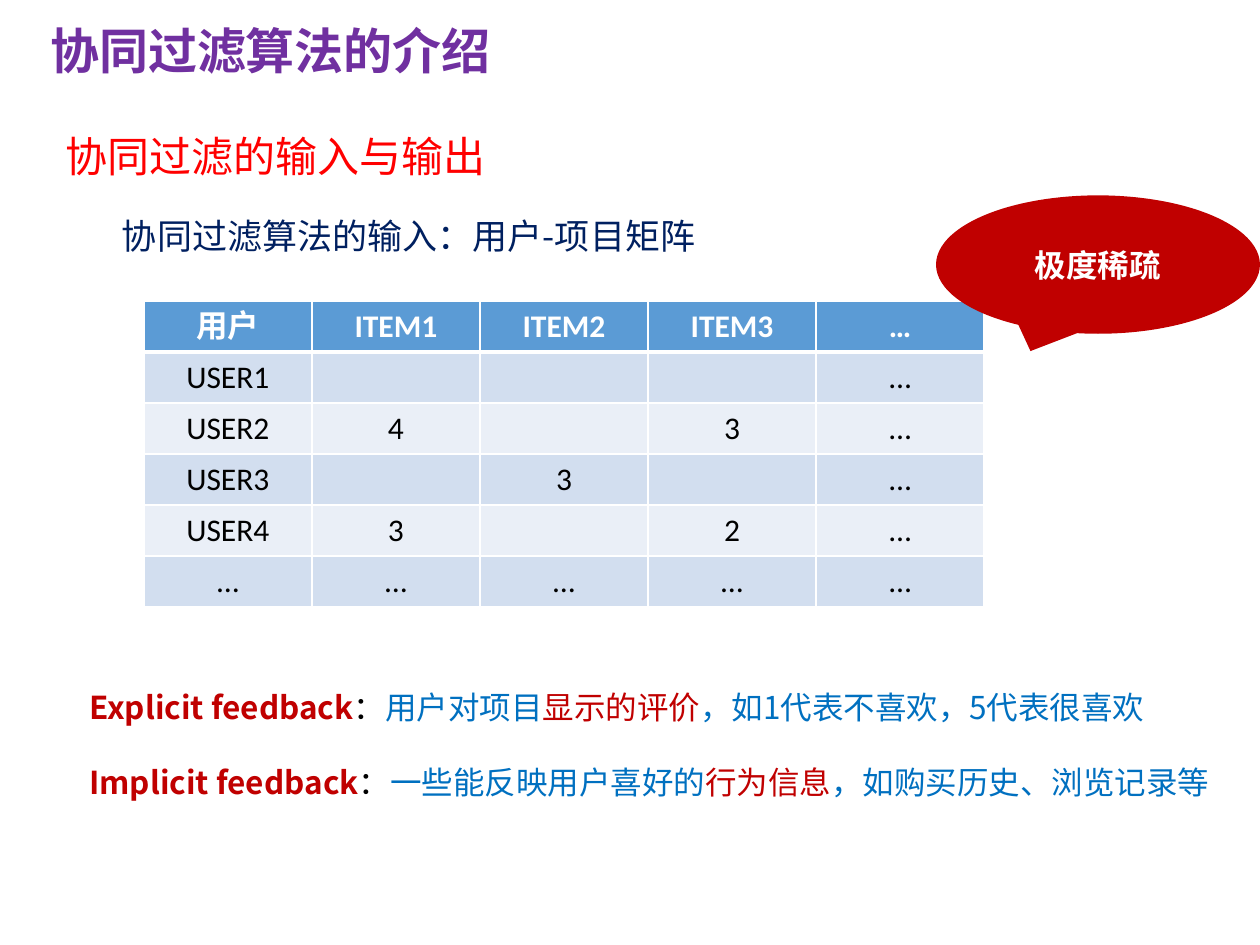
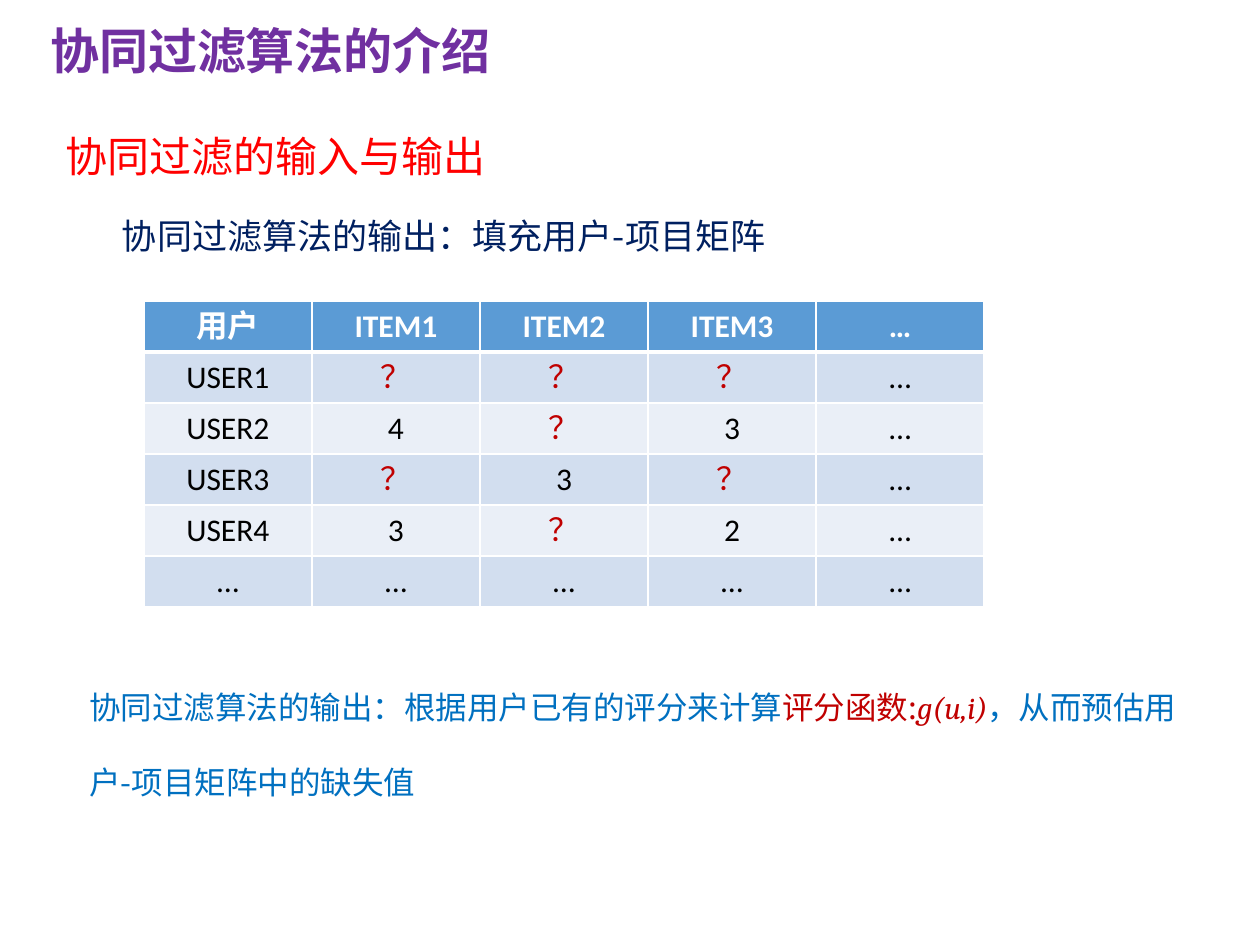
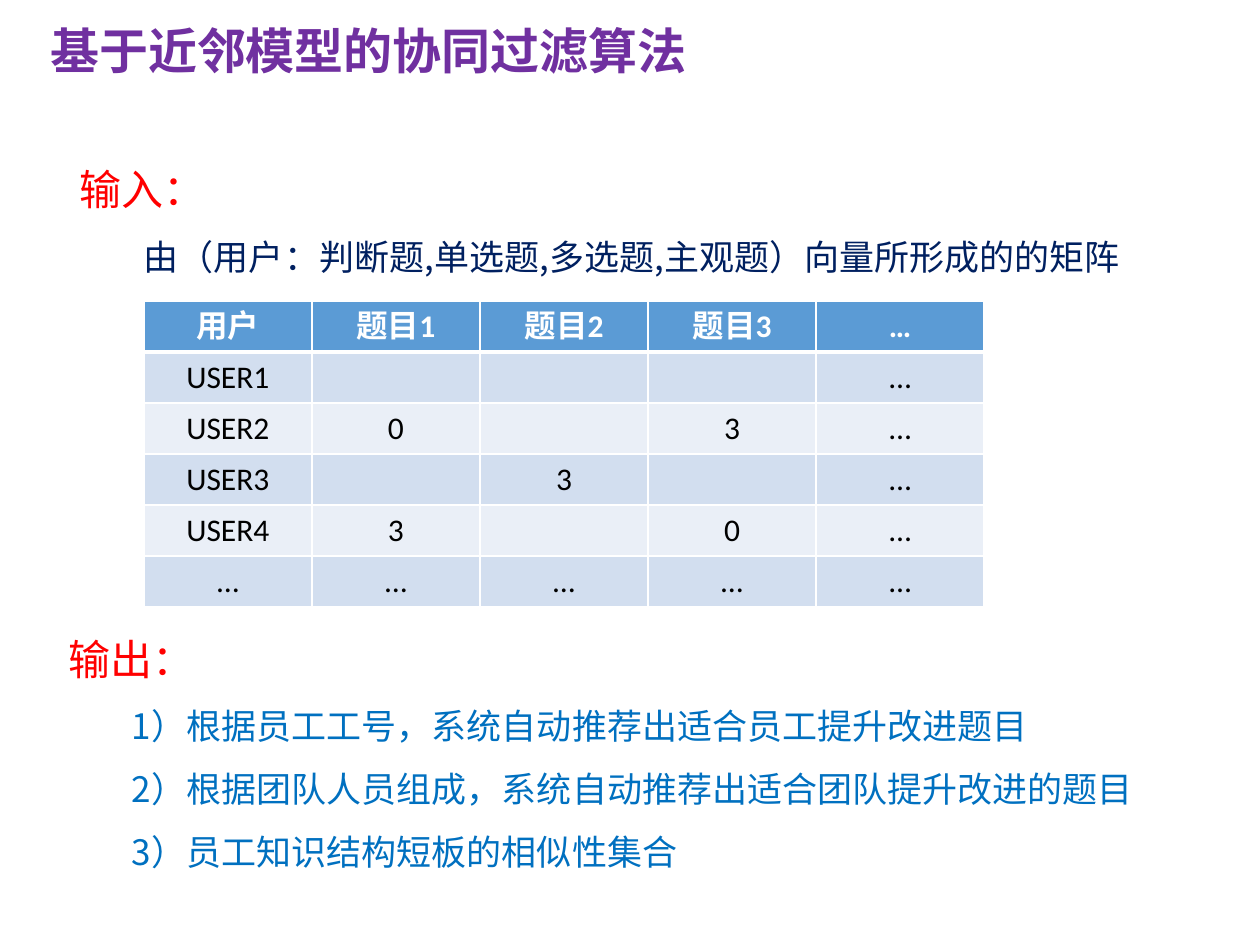
import dataclasses
import lxml.etree
import pptx
import pptx.dml.color
import pptx.enum.shapes
import pptx.enum.text
import pptx.oxml.ns
import pptx.util

Cm = pptx.util.Cm
ALIGN = pptx.enum.text.PP_ALIGN


@dataclasses.dataclass(frozen=True)
class Theme:
    """Hold the colours, fonts and type sizes of the deck."""
    sans: str = "Noto Sans CJK SC"
    grid: str = "Calibri"
    math: str = "Cambria"
    purple: str = "7030A0"
    red: str = "FF0000"
    navy: str = "002060"
    blue: str = "0070C0"
    dark: str = "C00000"
    black: str = "000000"
    white: str = "FFFFFF"
    header: str = "5B9BD5"
    bands: tuple = ("D2DEEF", "EAEFF7")
    title: int = 28
    head: int = 24
    lead: int = 20
    body: int = 18


T = Theme()
TABLE = (2.9, 6.07, 16.94, 6.17)
NOTE = (1.55, 12.98, 23.16, 3.1)


def rgb(code):
    """Turn a hex code into a colour."""
    return pptx.dml.color.RGBColor.from_string(code)


def write(par, text, size=T.body, color=T.black, font=T.sans, bold=False, ital=False):
    """Add one formatted run to a paragraph."""
    run = par.add_run()
    run.text = text
    face = run.font
    face.size, face.name = pptx.util.Pt(size), font
    face.bold, face.italic = bold, ital
    face.color.rgb = rgb(color)
    east = lxml.etree.SubElement(face._element, pptx.oxml.ns.qn("a:ea"))
    east.set("typeface", font)


def fill(frame, pars, space=1.0, first=0):
    """Fill a frame with paragraphs, each a list of (text, format) runs."""
    frame.word_wrap = True
    frame.auto_size = pptx.enum.text.MSO_AUTO_SIZE.SHAPE_TO_FIT_TEXT
    for row, runs in enumerate(pars):
        par = frame.add_paragraph() if row else frame.paragraphs[0]
        par.line_spacing = space
        if row and first:
            props = par._p.get_or_add_pPr()
            props.set("marL", "0")
            props.set("indent", str(Cm(first)))
        for text, look in runs:
            write(par, text, **look)


def block(slide, box, pars, **look):
    """Add a text box holding paragraphs."""
    shape = slide.shapes.add_textbox(*map(Cm, box))
    fill(shape.text_frame, pars, **look)


def start(deck, text, width=11.3):
    """Add a slide with its title."""
    slide = deck.slides.add_slide(deck.slide_layouts[5])
    title = slide.shapes.title
    title.left, title.top, title.width, title.height = map(Cm, (0.76, 0.28, width, 1.45))
    frame = title.text_frame
    frame.vertical_anchor = pptx.enum.text.MSO_ANCHOR.TOP
    fill(frame, [[(text, dict(size=T.title, color=T.purple, bold=True))]])
    frame.paragraphs[0].alignment = ALIGN.LEFT
    return slide


def heads(slide, text):
    """Add the section heading and the lead line below it."""
    block(slide, (1.07, 2.51, 17.25, 1.27),
          [[("协同过滤的输入与输出", dict(size=T.head, color=T.red))]])
    block(slide, (2.21, 3.78, 22.5, 1.55),
          [[(text, dict(size=T.lead, color=T.navy))]], space=1.5)


def border(cell, widths):
    """Draw white borders of the given widths around a cell."""
    props = cell._tc.get_or_add_tcPr()
    for side, width in zip("LRTB", widths):
        line = lxml.etree.SubElement(props, pptx.oxml.ns.qn(f"a:ln{side}"),
                                     w=str(pptx.util.Pt(width)))
        paint = lxml.etree.SubElement(line, pptx.oxml.ns.qn("a:solidFill"))
        lxml.etree.SubElement(paint, pptx.oxml.ns.qn("a:srgbClr"), val=T.white)


def matrix(slide, box, item, rates, blank=""):
    """Add the user by item table, with a mark for missing rates."""
    rows = [["用户", *(f"{item}{n}" for n in (1, 2, 3)), "…"]]
    rows += [[f"USER{n}", *(rate or blank for rate in line), "…"]
             for n, line in enumerate(rates, 1)]
    rows.append(["…"] * 5)
    table = slide.shapes.add_table(len(rows), 5, *map(Cm, box)).table
    for r, row in enumerate(rows):
        back = T.bands[(r - 1) % 2] if r else T.header
        for c, text in enumerate(row):
            cell = table.cell(r, c)
            border(cell, (1, 1, 3 if r == 1 else 1, 1 if r else 3))
            cell.fill.solid()
            cell.fill.fore_color.rgb = rgb(back)
            par = cell.text_frame.paragraphs[0]
            par.alignment = ALIGN.CENTER
            if text:
                color = T.dark if text == blank else T.black if r else T.white
                write(par, text, color=color, font=T.grid, bold=not r)


def bubble(slide, box, text):
    """Add the oval callout."""
    kind = pptx.enum.shapes.MSO_SHAPE.OVAL_CALLOUT
    shape = slide.shapes.add_shape(kind, *map(Cm, box))
    shape.shadow.inherit = False
    shape.fill.solid()
    shape.fill.fore_color.rgb = rgb(T.dark)
    shape.line.fill.background()
    frame = shape.text_frame
    frame.vertical_anchor = pptx.enum.text.MSO_ANCHOR.MIDDLE
    par = frame.paragraphs[0]
    par.alignment = ALIGN.CENTER
    write(par, text, color=T.white, bold=True)


def input_slide(deck):
    """Build the slide on the sparse input matrix."""
    slide = start(deck, "协同过滤算法的介绍")
    heads(slide, "协同过滤算法的输入：用户-项目矩阵")
    matrix(slide, TABLE, "ITEM", [("", "", ""), ("4", "", "3"), ("", "3", ""), ("3", "", "2")])
    kinds = [("Explicit feedback", "用户对项目", "显示的评价", "，如1代表不喜欢，5代表很喜欢"),
             ("Implicit feedback", "一些能反映用户喜好的", "行为信息", "，如购买历史、浏览记录等")]
    looks = [dict(color=T.dark, bold=True), dict(font=T.grid), dict(color=T.blue),
             dict(color=T.dark), dict(color=T.blue)]
    block(slide, NOTE, [list(zip((name, "：", *rest), looks)) for name, *rest in kinds], space=2.0)
    bubble(slide, (18.87, 3.94, 6.53, 2.79), "极度稀疏")


def output_slide(deck):
    """Build the slide on the filled output matrix."""
    slide = start(deck, "协同过滤算法的介绍")
    heads(slide, "协同过滤算法的输出：填充用户-项目矩阵")
    matrix(slide, TABLE, "ITEM", [("", "", ""), ("4", "", "3"), ("", "3", ""), ("3", "", "2")],
           blank="？")
    block(slide, NOTE, [[
        ("协同过滤算法的输出：根据用户已有的评分来计算", dict(color=T.blue)),
        ("评分函数:", dict(color=T.dark)),
        ("g(u,i)", dict(color=T.dark, font=T.math, ital=True)),
        ("，从而预估用户-项目矩阵中的缺失值", dict(color=T.blue))]], space=2.0)


def model_slide(deck):
    """Build the slide on the neighbour model."""
    slide = start(deck, "基于近邻模型的协同过滤算法", width=14.48)
    head = dict(size=T.head, color=T.red)
    block(slide, (1.35, 2.67, 22.33, 2.92), [
        [("输入：", head)],
        [("由（用户：判断题,单选题,多选题,主观题）向量所形成的的矩阵",
          dict(size=T.lead, color=T.navy))]], space=1.5, first=1.3)
    matrix(slide, TABLE, "题目", [("", "", ""), ("0", "", "3"), ("", "3", ""), ("3", "", "0")])
    goals = ["根据员工工号，系统自动推荐出适合员工提升改进题目",
             "根据团队人员组成，系统自动推荐出适合团队提升改进的题目",
             "员工知识结构短板的相似性集合"]
    look = dict(size=T.lead, color=T.blue)
    block(slide, (1.14, 12.14, 22.02, 5.64),
          [[("输出：", head)], *([(f"{n}）{goal}", look)] for n, goal in enumerate(goals, 1))],
          space=1.5, first=1.27)


def main():
    """Build and save the deck."""
    deck = pptx.Presentation()
    deck.slide_width, deck.slide_height = Cm(25.4), Cm(19.05)
    for build in (input_slide, output_slide, model_slide):
        build(deck)
    deck.save("out.pptx")


if __name__ == "__main__":
    main()
